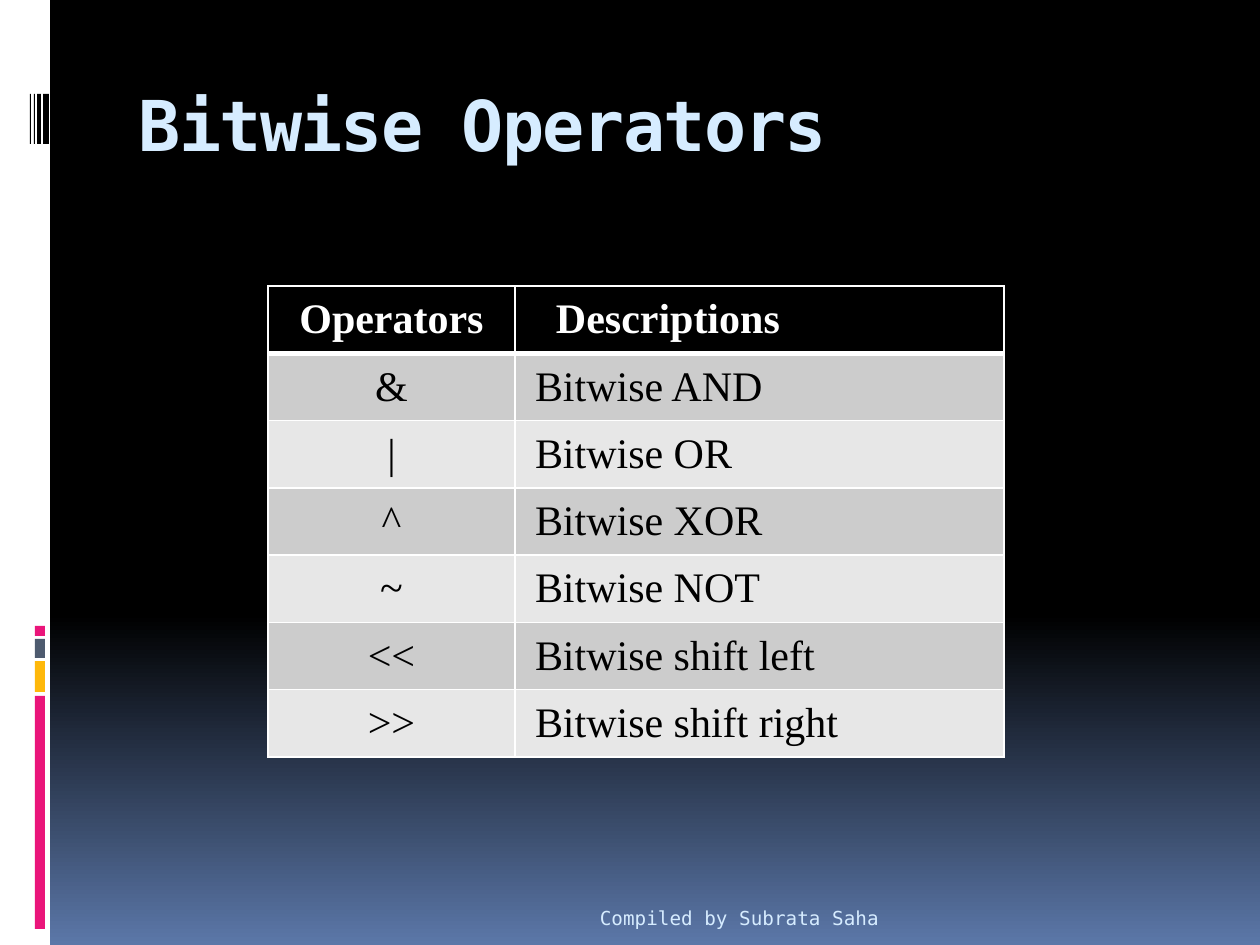
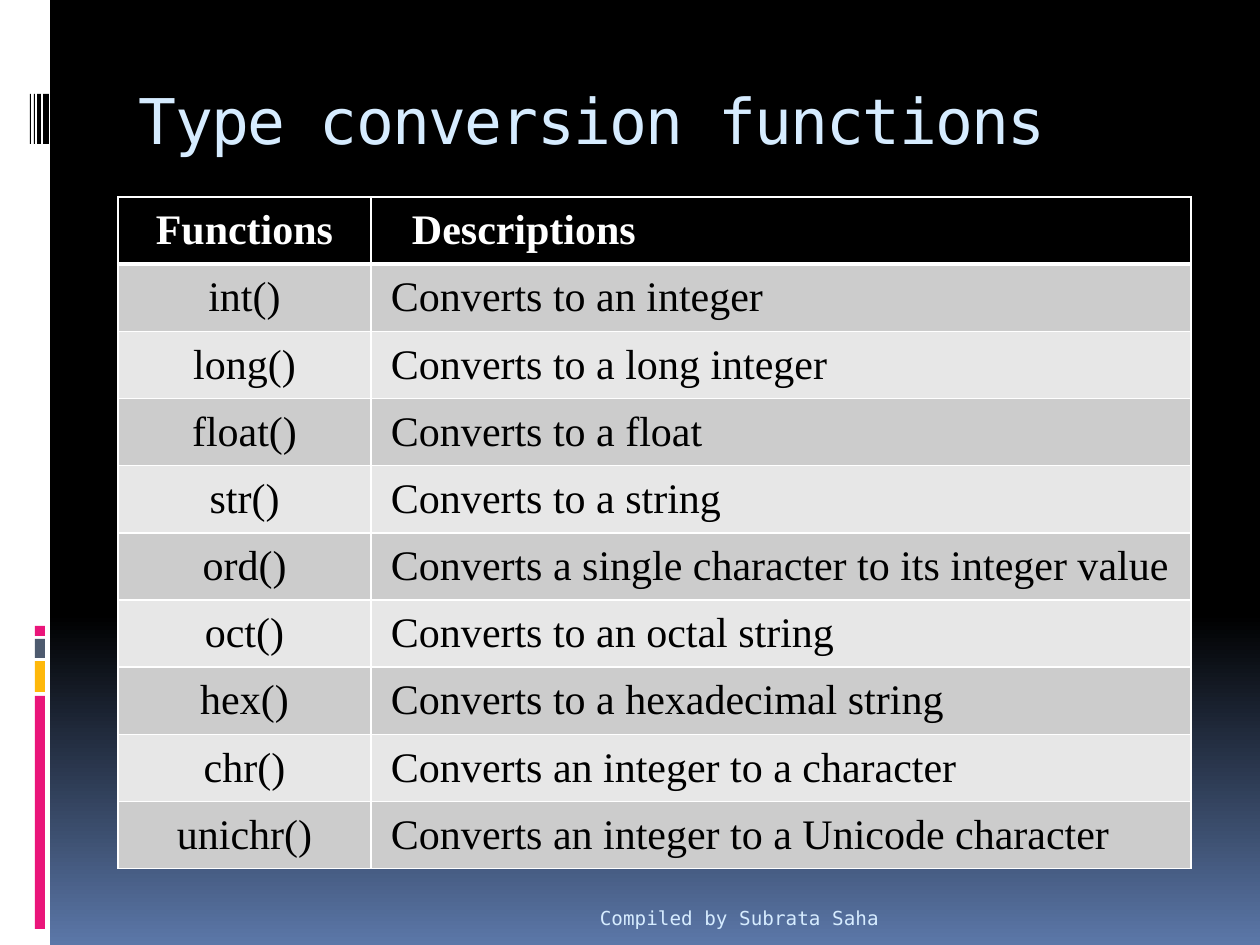
from lxml import etree
from pptx import Presentation
from pptx.dml.color import RGBColor
from pptx.enum.shapes import MSO_SHAPE
from pptx.enum.text import MSO_ANCHOR, PP_ALIGN
from pptx.oxml.ns import qn
from pptx.util import Emu, Pt

RECT = MSO_SHAPE.RECTANGLE
TOP, MIDDLE, BOTTOM = MSO_ANCHOR.TOP, MSO_ANCHOR.MIDDLE, MSO_ANCHOR.BOTTOM
LEFT, CENTER, RIGHT = PP_ALIGN.LEFT, PP_ALIGN.CENTER, PP_ALIGN.RIGHT

WHITE = RGBColor(0xFF, 0xFF, 0xFF)
BLACK = RGBColor(0x00, 0x00, 0x00)
DUSK = RGBColor(0x5B, 0x77, 0xA8)
PALE_BLUE = RGBColor(0xD6, 0xEC, 0xFF)
PINK = RGBColor(0xEA, 0x15, 0x7A)
AMBER = RGBColor(0xFE, 0xB8, 0x0A)
SLATE = RGBColor(0x4E, 0x5B, 0x6F)
BAND_DARK = RGBColor(0xCC, 0xCC, 0xCC)
BAND_LIGHT = RGBColor(0xE7, 0xE7, 0xE7)

MONO, SERIF = "DejaVu Sans Mono", "Times New Roman"
PX_PER_INCH = 126
WIDTH, HEIGHT = 1260, 945

ACCENTS = [(696, 233, PINK), (661, 31, AMBER), (639, 19, SLATE), (626, 10, PINK)]
BARCODE = [(43, 6), (37, 4), (34, 1), (30, 1)]


def px(n):
    return Emu(round(n * 914400 / PX_PER_INCH))


class Deck:
    """Holds the shared style and the slide being built."""

    def __init__(self):
        self.prs = Presentation()
        self.prs.slide_width, self.prs.slide_height = px(WIDTH), px(HEIGHT)
        self.s = None
        self.background([(0, BLACK), (65, BLACK), (100, DUSK)])

    def background(self, stops):
        master = self.prs.slide_master
        fill = master.background.fill
        fill.gradient()
        fill.gradient_angle = 270  # counter-clockwise, so top to bottom
        gs_lst = master.element.find(".//" + qn("p:bgPr") + "//" + qn("a:gsLst"))
        for gs in list(gs_lst):
            gs_lst.remove(gs)
        for percent, color in stops:
            gs = etree.SubElement(gs_lst, qn("a:gs"), pos=str(percent * 1000))
            etree.SubElement(gs, qn("a:srgbClr"), val=str(color))

    def slide(self, title, size, bold=False):
        self.s = self.prs.slides.add_slide(self.prs.slide_layouts[6])
        # Left band with accent blocks and bar pattern
        self.rect(0, 0, 50, HEIGHT, WHITE)
        for y, h, color in ACCENTS:
            self.rect(35, y, 10, h, color)
        for x, w in BARCODE:
            self.rect(x, 94, w, 50, BLACK)
        # Title and footer
        r = self.text(126, 70, 1071, 126, title, size, TOP, LEFT, bold)
        r.font._element.set("spc", "-100")
        self.text(126, 885, 766, 50, "Compiled by Subrata Saha", 11, BOTTOM, RIGHT)

    def rect(self, x, y, w, h, color):
        sp = self.s.shapes.add_shape(RECT, px(x), px(y), px(w), px(h))
        sp.shadow.inherit = False
        sp.fill.solid()
        sp.fill.fore_color.rgb = color
        sp.line.fill.background()

    def run(self, p, text, font, size, color, bold=False):
        r = p.add_run()
        r.text = text
        r.font.name, r.font.size, r.font.bold = font, Pt(size), bold
        r.font.color.rgb = color
        return r

    def text(self, x, y, w, h, text, size, anchor, align, bold=False):
        tf = self.s.shapes.add_textbox(px(x), px(y), px(w), px(h)).text_frame
        tf.word_wrap = True
        tf.vertical_anchor = anchor
        tf.margin_left = tf.margin_right = px(13)
        tf.margin_top, tf.margin_bottom = px(12), px(6)
        p = tf.paragraphs[0]
        p.alignment = align
        return self.run(p, text, MONO, size, PALE_BLUE, bold)

    def border(self, cell, side, points):
        ln = etree.SubElement(cell._tc.get_or_add_tcPr(), qn("a:ln" + side),
                              w=str(Pt(points)))
        fill = etree.SubElement(ln, qn("a:solidFill"))
        etree.SubElement(fill, qn("a:srgbClr"), val=str(WHITE))

    def table(self, x, y, col_widths, height, rows):
        frame = self.s.shapes.add_table(len(rows), len(col_widths), px(x), px(y),
                                        px(sum(col_widths)), px(height))
        table = frame.table
        for column, w in zip(table.columns, col_widths):
            column.width = px(w)
        for i, row in enumerate(rows):
            table.rows[i].height = Emu(px(height) // len(rows))
            for j, text in enumerate(row):
                self.cell(table.cell(i, j), i, j, text)

    def cell(self, cell, i, j, text):
        header = i == 0
        # Thick rule between the header and the body
        for side, thick in (("L", False), ("R", False), ("T", i == 1), ("B", header)):
            self.border(cell, side, 3 if thick else 1)
        cell.fill.solid()
        cell.fill.fore_color.rgb = BLACK if header else (BAND_LIGHT, BAND_DARK)[i % 2]
        cell.vertical_anchor = MIDDLE
        cell.margin_top = cell.margin_bottom = 0
        cell.margin_right = px(9)
        # Descriptions are indented, the header a little further
        cell.margin_left = px(9 if j == 0 else 41 if header else 20)
        p = cell.text_frame.paragraphs[0]
        p.alignment = CENTER if j == 0 else LEFT
        self.run(p, text, SERIF, 24, WHITE if header else BLACK, header)


def main():
    deck = Deck()

    # Bitwise operators
    deck.slide("Bitwise Operators", 40, bold=True)
    deck.table(268, 286, [247, 489], 471, [
        ("Operators", "Descriptions"),
        ("&", "Bitwise AND"),
        ("|", "Bitwise OR"),
        ("^", "Bitwise XOR"),
        ("~", "Bitwise NOT"),
        ("<<", "Bitwise shift left"),
        (">>", "Bitwise shift right"),
    ])

    # Type conversion
    deck.slide("Type conversion functions", 36)
    deck.table(118, 197, [253, 820], 672, [
        ("Functions", "Descriptions"),
        ("int()", "Converts to an integer"),
        ("long()", "Converts to a long integer"),
        ("float()", "Converts to a float"),
        ("str()", "Converts to a string"),
        ("ord()", "Converts a single character to its integer value"),
        ("oct()", "Converts to an octal string"),
        ("hex()", "Converts to a hexadecimal string"),
        ("chr()", "Converts an integer to a character"),
        ("unichr()", "Converts an integer to a Unicode character"),
    ])

    deck.prs.save("out.pptx")


if __name__ == "__main__":
    main()
